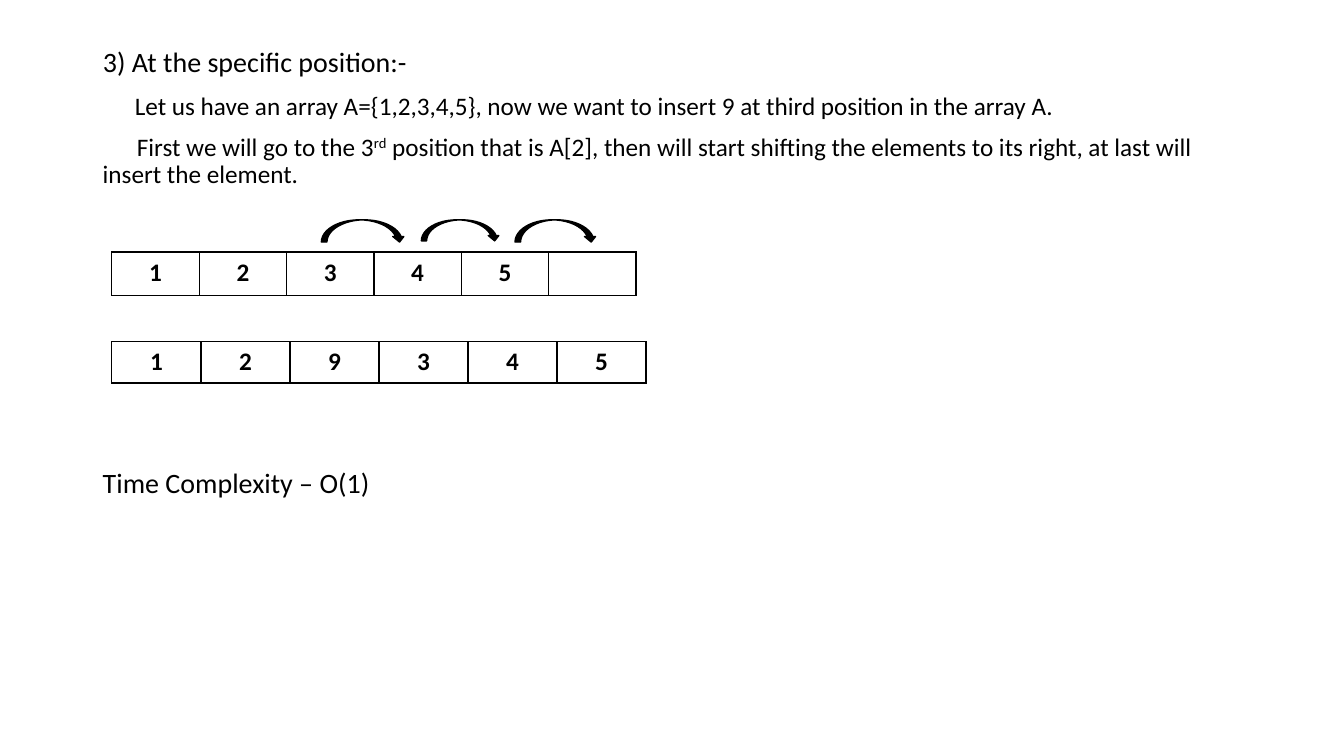
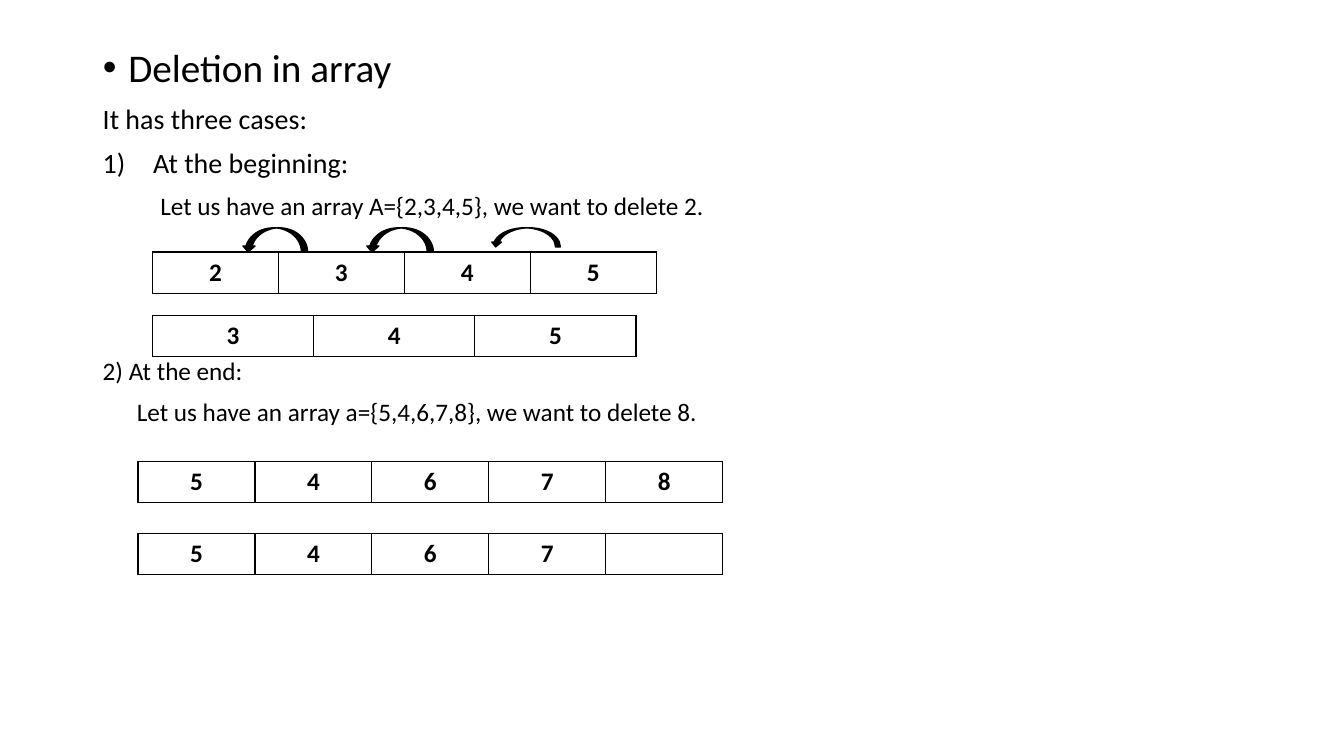
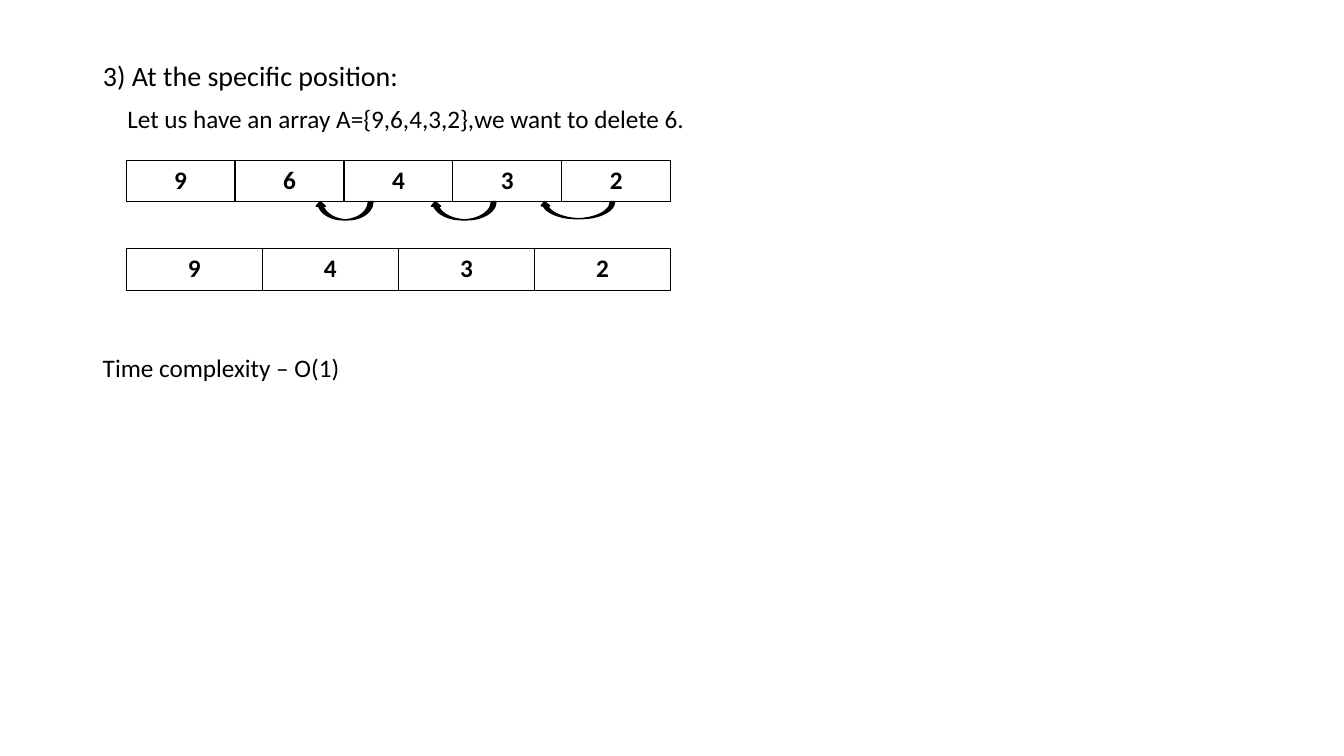
import lxml.etree
import pptx
import pptx.dml.color
import pptx.enum.shapes
import pptx.enum.text
import pptx.oxml.ns
import pptx.util
from pptx.util import Cm

COLORS = {"ink": "000000", "paper": "FFFFFF"}
FONT = "Calibri"
TITLE_ONLY = 5
TEXT_LEFT, TEXT_WIDTH = 2.34, 29.21
ROW_HEIGHT = 1.04
LINE_SPACING = 0.9
LINE_HEIGHT = 1.1  # height of a line of text, as a multiple of its size
PARAGRAPH_GAP = 10
CURVED_DOWN = pptx.enum.shapes.MSO_SHAPE.CURVED_DOWN_ARROW
CURVED_UP = pptx.enum.shapes.MSO_SHAPE.CURVED_UP_ARROW


def color(name):
    """Return the named colour."""
    return pptx.dml.color.RGBColor.from_string(COLORS[name])


def add_child(parent, tag, **attributes):
    """Append a DrawingML element to parent and return it."""
    return lxml.etree.SubElement(parent, pptx.oxml.ns.qn(tag), attributes)


def write_text(paragraph, text, size=18, bold=False, align="LEFT", before=0,
               spacing=None, margin=0, indent=0, bullet=None):
    """Write text into a paragraph; of a tuple, every second part is raised."""
    paragraph.alignment = getattr(pptx.enum.text.PP_ALIGN, align)
    paragraph.space_before = pptx.util.Pt(before)
    paragraph.line_spacing = spacing
    properties = paragraph._p.get_or_add_pPr()
    properties.set("marL", str(Cm(margin)))
    properties.set("indent", str(Cm(indent)))
    if bullet == "number":
        add_child(properties, "a:buFont", typeface=FONT)
        add_child(properties, "a:buAutoNum", type="arabicParenR")
    elif bullet:
        add_child(properties, "a:buFont", typeface="Arial")
        add_child(properties, "a:buChar", char=bullet)
    else:
        add_child(properties, "a:buNone")
    paragraph.font.size = pptx.util.Pt(size)
    for index, part in enumerate((text,) if isinstance(text, str) else text):
        run = paragraph.add_run()
        run.text = part
        run.font.name = FONT
        run.font.size = pptx.util.Pt(size)
        run.font.bold = bold
        run.font.color.rgb = color("ink")
        if index % 2:
            run.font._element.set("baseline", "30000")


def prepare_frame(shape):
    """Make a text frame wrap from its top edge, and return it."""
    frame = shape.text_frame
    frame.word_wrap = True
    frame.auto_size = pptx.enum.text.MSO_AUTO_SIZE.NONE
    frame.vertical_anchor = pptx.enum.text.MSO_ANCHOR.TOP
    frame.margin_top = frame.margin_bottom = 0
    return frame


def add_text_slide(presentation, heading, lines, top=1.22, size=20, **heading_format):
    """Add a slide with a heading and, right below it, (text, format) lines."""
    slide = presentation.slides.add_slide(presentation.slide_layouts[TITLE_ONLY])
    title = slide.shapes.title
    title.left, title.top, title.width = Cm(TEXT_LEFT), Cm(top), Cm(TEXT_WIDTH)
    title.height = pptx.util.Pt(size * LINE_HEIGHT + PARAGRAPH_GAP)
    write_text(prepare_frame(title).paragraphs[0], heading, size=size,
               spacing=LINE_SPACING, **heading_format)

    body_top = title.top + title.height
    body = slide.shapes.add_textbox(title.left, body_top, title.width,
                                    Cm(17) - body_top)
    frame = prepare_frame(body)
    for index, (text, line_format) in enumerate(lines):
        paragraph = frame.paragraphs[0] if index == 0 else frame.add_paragraph()
        gap = PARAGRAPH_GAP if index else 0
        write_text(paragraph, text,
                   **{"before": gap, "spacing": LINE_SPACING, **line_format})
    return slide


def style_cell(cell, text):
    """Give an array cell its value, thin border and plain fill."""
    properties = cell._tc.get_or_add_tcPr()
    for side in ("a:lnL", "a:lnR", "a:lnT", "a:lnB"):
        line = add_child(properties, side, w=str(pptx.util.Pt(1)))
        add_child(add_child(line, "a:solidFill"), "a:srgbClr", val=COLORS["ink"])
    cell.fill.solid()
    cell.fill.fore_color.rgb = color("paper")
    write_text(cell.text_frame.paragraphs[0], text, bold=True, align="CENTER")


def add_array(slide, left, top, width, values, height=ROW_HEIGHT):
    """Draw an array as a one-row table of equal cells."""
    frame = slide.shapes.add_table(1, len(values), Cm(left), Cm(top),
                                   Cm(width), Cm(height))
    table = frame.table
    table.first_row = table.horz_banding = False
    for column, cell, value in zip(table.columns, table.rows[0].cells, values):
        column.width = Cm(width / len(values))
        style_cell(cell, value)
    return frame


def add_shifts(slide, array, drop, arrows, kind, rotation=0):
    """Draw shift arrows (offset, width, height), measured from an array's corner."""
    for offset, width, height in arrows:
        arrow = slide.shapes.add_shape(kind, array.left + Cm(offset),
                                       array.top + Cm(drop), Cm(width), Cm(height))
        arrow.rotation = rotation
        arrow.shadow.inherit = False
        arrow.fill.solid()
        arrow.fill.fore_color.rgb = color("ink")
        arrow.line.color.rgb = color("ink")
        arrow.line.width = pptx.util.Pt(1)


def build_insertion(presentation):
    """Insertion at a specific position."""
    slide = add_text_slide(presentation, "3) At the specific position:-", [
        ("Let us have an array A={1,2,3,4,5}, now we want to insert 9 "
         "at third position in the array A.", {"indent": 0.81}),
        (("First we will go to the 3", "rd", " position that is A[2], then will start "
          "shifting the elements to its right, at last will insert the element."),
         {"indent": 0.86}),
        ("Time Complexity – O(1)", {"size": 20, "before": 200}),
    ])
    array = add_array(slide, 2.82, 6.35, 13.21, ["1", "2", "3", "4", "5", ""], 1.1)
    add_shifts(slide, array, -0.81,
               [(5.28, 2.11, 0.56), (7.8, 1.98, 0.53), (10.16, 2.06, 0.56)],
               CURVED_DOWN)
    add_array(slide, 2.82, 8.61, 13.46, "129345")


def build_deletion_at_ends(presentation):
    """Deletion at the beginning and at the end."""
    slide = add_text_slide(presentation, "Deletion in array", [
        ("It has three cases:", {"size": 20}),
        ("At the beginning:",
         {"size": 20, "margin": 1.27, "indent": -1.27, "bullet": "number"}),
        ("Let us have an array A={2,3,4,5}, we want to delete 2.", {"indent": 1.45}),
        ("2) At the end:", {"before": 98}),
        ("Let us have an array a={5,4,6,7,8}, we want to delete 8.", {"indent": 0.86}),
    ], size=28, margin=0.64, indent=-0.64, bullet="•")
    array = add_array(slide, 3.84, 6.35, 12.7, "2345")
    add_shifts(slide, array, -0.61,
               [(2.26, 1.65, 0.61), (5.38, 1.7, 0.61), (8.53, 1.75, 0.48)],
               CURVED_UP, 180)
    add_array(slide, 3.84, 7.95, 12.19, "345")
    add_array(slide, 3.48, 11.63, 14.73, "54678")
    add_array(slide, 3.48, 13.44, 14.73, ["5", "4", "6", "7", ""])


def build_deletion_at_position(presentation):
    """Deletion at a specific position."""
    slide = add_text_slide(presentation, "3) At the specific position:", [
        ("Let us have an array A={9,6,4,3,2},we want to delete 6.", {"indent": 0.62}),
        ("Time complexity – O(1)", {"before": 158}),
    ], top=1.57)
    array = add_array(slide, 3.18, 4.04, 13.72, "96432")
    add_array(slide, 3.18, 6.27, 13.72, "9432")
    add_shifts(slide, array, ROW_HEIGHT,
               [(4.77, 1.45, 0.46), (7.67, 1.65, 0.46), (10.43, 1.88, 0.43)],
               CURVED_DOWN, 180)


def main():
    """Build the presentation and save it."""
    presentation = pptx.Presentation()
    presentation.slide_width, presentation.slide_height = Cm(33.87), Cm(19.05)
    build_insertion(presentation)
    build_deletion_at_ends(presentation)
    build_deletion_at_position(presentation)
    presentation.save("out.pptx")


main()
